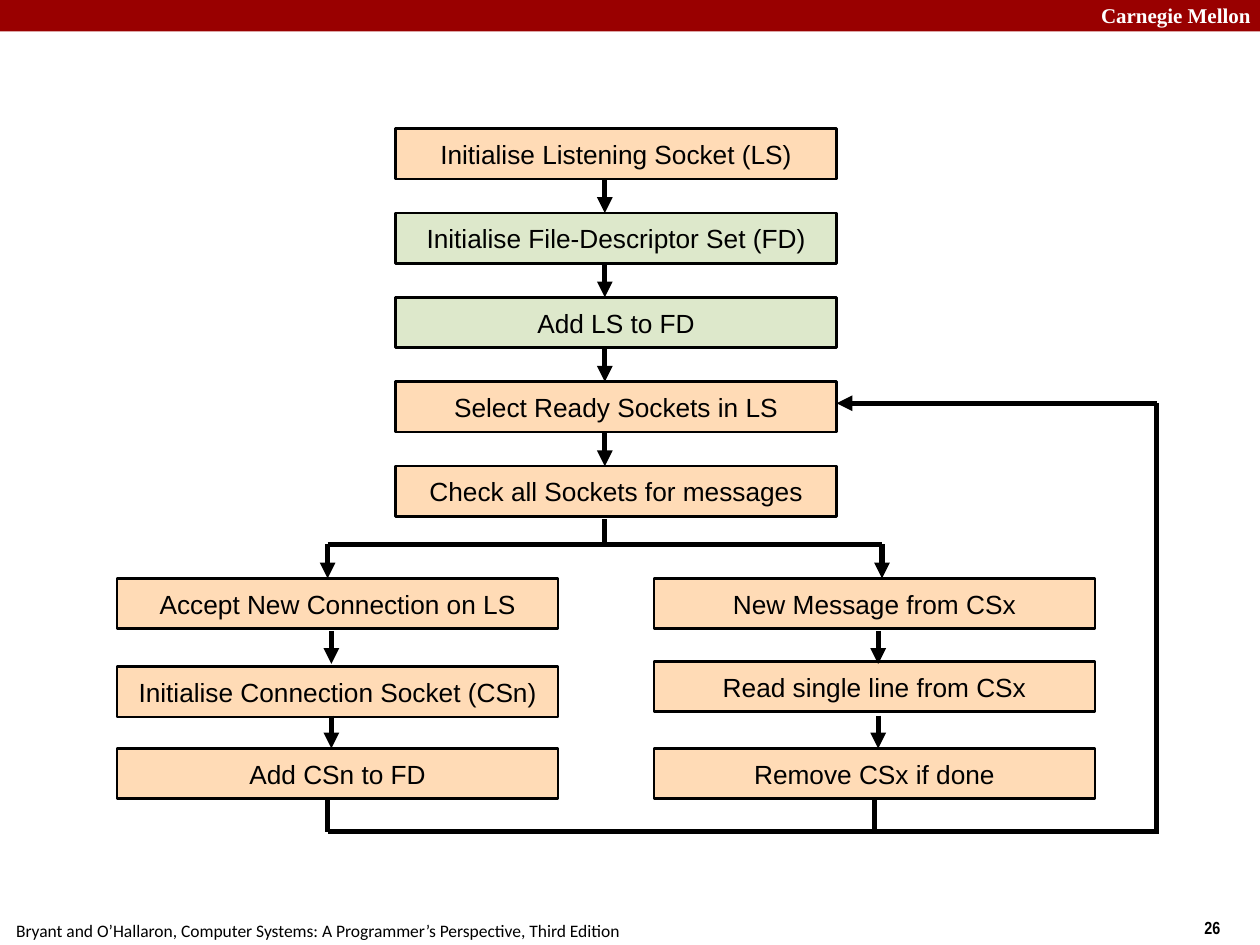
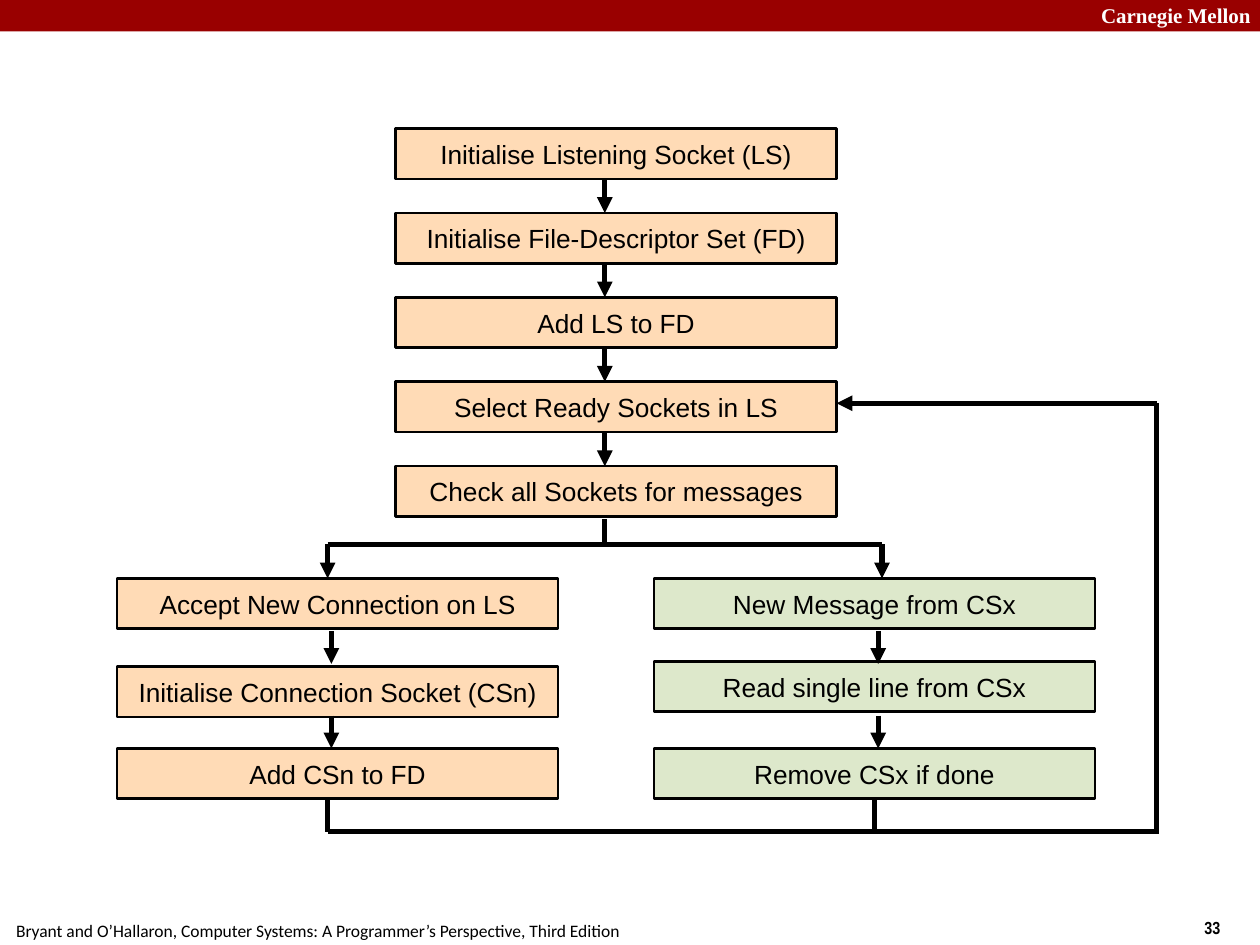
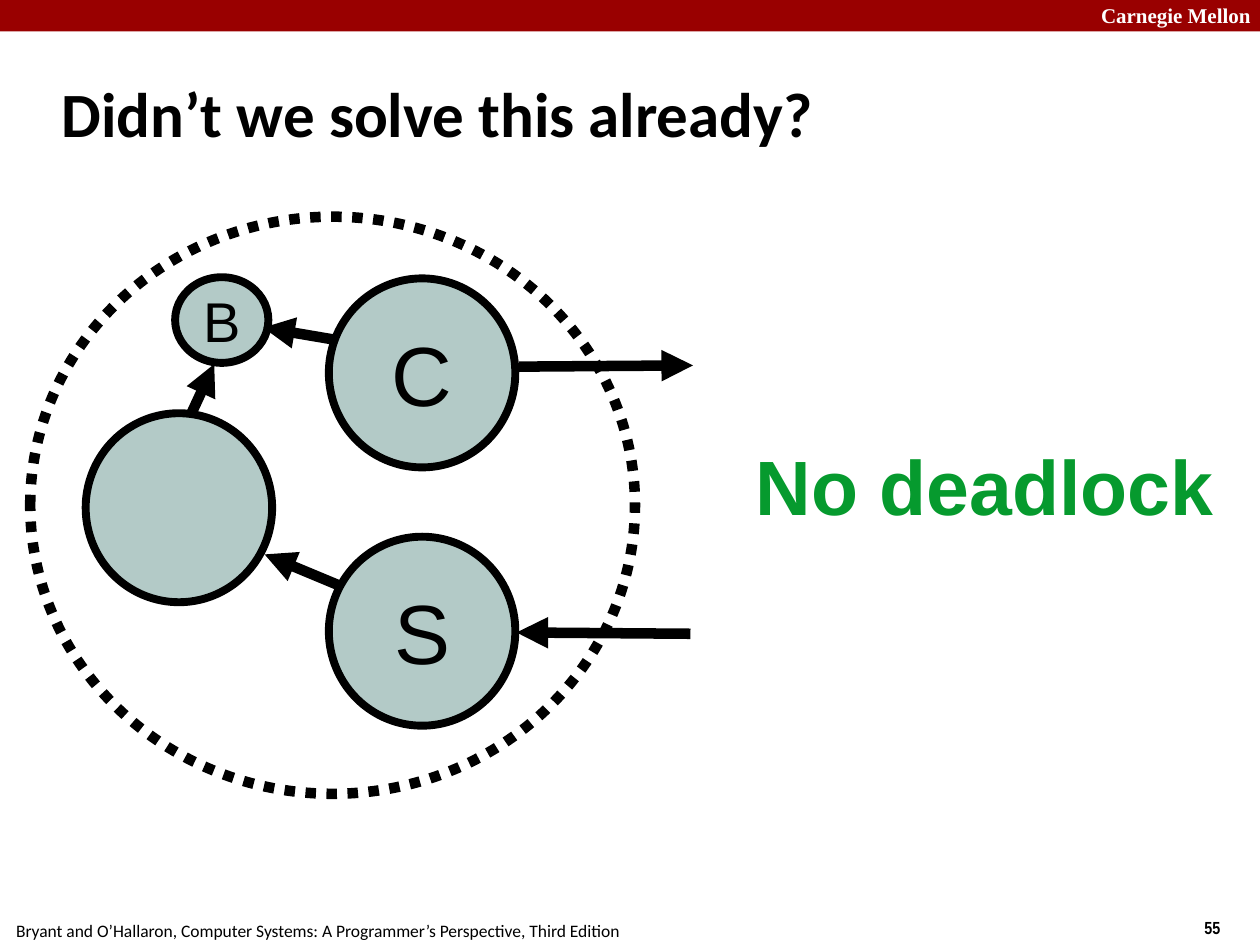
"""Build three lecture slides on a select-based server and on avoiding deadlock."""
from dataclasses import dataclass
from typing import NamedTuple

from lxml.etree import SubElement
from pptx import Presentation
from pptx.dml.color import RGBColor
from pptx.enum.dml import MSO_LINE
from pptx.enum.shapes import MSO_CONNECTOR, MSO_SHAPE
from pptx.enum.text import MSO_ANCHOR, MSO_AUTO_SIZE, PP_ALIGN
from pptx.oxml.ns import qn
from pptx.util import Inches, Pt


class TextStyle(NamedTuple):
    font: str
    size: int
    color: str = "000000"
    bold: bool = False
    wrap: bool = False


@dataclass(frozen=True)
class Theme:
    band: str = "990000"
    ink: str = "000000"
    step: str = "FFDBB6"
    highlight: str = "DDE8CB"
    node: str = "B3CAC7"
    title: TextStyle = TextStyle("Calibri", 36, bold=True)
    school: TextStyle = TextStyle("Times New Roman", 12, "FFFFFF", True, True)
    page: TextStyle = TextStyle("Arial Narrow", 10, bold=True)
    footer: TextStyle = TextStyle("Calibri", 10, wrap=True)
    step_text: TextStyle = TextStyle("Arial", 15)
    node_text: TextStyle = TextStyle("Arial", 48)
    small_node_text: TextStyle = TextStyle("Arial", 32)
    verdict: TextStyle = TextStyle("Arial", 44, "069A2E", True, True)


THEME = Theme()


def add_box(slide, position, text="", style=THEME.step_text, preset=None, fill=None, outline=0):
    """Add a text box, or a centred preset shape when a preset is given."""
    bounds = [Inches(length) for length in position]
    if preset is None:
        shape = slide.shapes.add_textbox(*bounds)
    else:
        shape = slide.shapes.add_shape(preset, *bounds)
        shape.shadow.inherit = False
        shape.fill.background()
        shape.line.fill.background()
    if fill:
        shape.fill.solid()
        shape.fill.fore_color.rgb = RGBColor.from_string(fill)
    if outline:
        shape.line.color.rgb = RGBColor.from_string(THEME.ink)
        shape.line.width = Pt(outline)
    if text:
        frame = shape.text_frame
        frame.text = text
        frame.word_wrap = style.wrap
        if preset is None:
            frame.auto_size = MSO_AUTO_SIZE.SHAPE_TO_FIT_TEXT
        else:
            frame.vertical_anchor = MSO_ANCHOR.MIDDLE
            frame.paragraphs[0].alignment = PP_ALIGN.CENTER
        font = frame.paragraphs[0].runs[0].font
        font.name, font.size, font.bold = style.font, Pt(style.size), style.bold
        font.color.rgb = RGBColor.from_string(style.color)
    return shape


def add_line(slide, start, end, width, arrow=True):
    """Add a straight line, with an arrowhead at its end unless told otherwise."""
    points = [Inches(length) for length in (*start, *end)]
    connector = slide.shapes.add_connector(MSO_CONNECTOR.STRAIGHT, *points)
    connector.line.color.rgb = RGBColor.from_string(THEME.ink)
    connector.line.width = Pt(width)
    properties = connector._element.spPr
    if arrow:
        SubElement(properties.find(qn("a:ln")), qn("a:tailEnd"), type="triangle")
    SubElement(properties, qn("a:effectLst"))


presentation = Presentation()
presentation.slide_width = Inches(10)
presentation.slide_height = Inches(7.5)
title_only, blank = presentation.slide_layouts[5], presentation.slide_layouts[6]

slides = []
for page, layout in (("26", blank), ("33", blank), ("55", title_only)):
    slide = presentation.slides.add_slide(layout)
    add_box(slide, (0, 0, 10, 0.25), preset=MSO_SHAPE.RECTANGLE, fill=THEME.band)
    add_box(slide, (8.64, -0.03, 1.43, 0.3), "Carnegie Mellon", THEME.school)
    add_box(slide, (9.46, 7.23, 0.75, 0.27), page, THEME.page)
    add_box(slide, (0.03, 7.25, 5.2, 0.27),
            "Bryant and O’Hallaron, Computer Systems: A Programmer’s Perspective, Third Edition",
            THEME.footer)
    slides.append(slide)

STEP_WIDTH, STEP_HEIGHT, STEP_PITCH = 3.5, 0.4, 0.67
SETUP_TOPS = [1.02 + STEP_PITCH * index for index in range(5)]
COLUMNS = (
    (3.14, SETUP_TOPS, ("Initialise Listening Socket (LS)", "Initialise File-Descriptor Set (FD)",
                        "Add LS to FD", "Select Ready Sockets in LS",
                        "Check all Sockets for messages")),
    (0.93, (4.59, 5.29, 5.94), ("Accept New Connection on LS",
                                "Initialise Connection Socket (CSn)", "Add CSn to FD")),
    (5.19, (4.59, 5.25, 5.94), ("New Message from CSx", "Read single line from CSx",
                                "Remove CSx if done")),
)
HIGHLIGHTS = (
    {"Initialise File-Descriptor Set (FD)", "Add LS to FD"},
    set(COLUMNS[2][2]),
)
FLOW_ARROWS = [((4.8, top + STEP_HEIGHT), (4.8, top + STEP_PITCH)) for top in SETUP_TOPS[:-1]]
FLOW_ARROWS += [((x, y), (x, y + 0.26)) for x in (2.63, 6.97) for y in (5.01, 5.68)]
FLOW_ARROWS += [((x, 4.32), (x, 4.59)) for x in (2.6, 7)]
FLOW_ARROWS.append(((9.18, 3.2), (6.64, 3.2)))
FLOW_LINES = (
    ((4.8, 4.12), (4.8, 4.32)),
    ((2.6, 4.32), (7, 4.32)),
    ((2.6, 6.34), (2.6, 6.6)),
    ((6.94, 6.34), (6.94, 6.6)),
    ((2.6, 6.6), (9.2, 6.6)),
    ((9.18, 3.2), (9.18, 6.6)),
)

for slide, highlighted in zip(slides, HIGHLIGHTS):
    for left, tops, steps in COLUMNS:
        for top, step in zip(tops, steps):
            add_box(slide, (left, top, STEP_WIDTH, STEP_HEIGHT), step,
                    preset=MSO_SHAPE.RECTANGLE, outline=1.5,
                    fill=THEME.highlight if step in highlighted else THEME.step)
    for start, end in FLOW_ARROWS:
        add_line(slide, start, end, 3)
    for start, end in FLOW_LINES:
        add_line(slide, start, end, 3, arrow=False)

deadlock_slide = slides[2]
title = deadlock_slide.shapes.title
title.left, title.top, title.width, title.height = (
    Inches(length) for length in (0.39, 0.48, 8.3, 0.83))
title.text_frame.text = "Didn’t we solve this already?"
title.text_frame.vertical_anchor = MSO_ANCHOR.MIDDLE
title.text_frame.auto_size = MSO_AUTO_SIZE.NONE
title_paragraph = title.text_frame.paragraphs[0]
title_paragraph.alignment = PP_ALIGN.LEFT
title_font = title_paragraph.runs[0].font
title_font.name, title_font.size = THEME.title.font, Pt(THEME.title.size)
title_font.bold = THEME.title.bold
title_font.color.rgb = RGBColor.from_string(THEME.title.color)

boundary = add_box(deadlock_slide, (0.24, 1.72, 4.8, 4.58), preset=MSO_SHAPE.OVAL, outline=6)
boundary.line.dash_style = MSO_LINE.ROUND_DOT

for position, name, style in (
    ((2.61, 2.21, 1.48, 1.5), "C", THEME.node_text),
    ((2.61, 4.26, 1.48, 1.5), "S", THEME.node_text),
    ((0.68, 3.28, 1.48, 1.5), "", THEME.node_text),
    ((1.39, 2.2, 0.74, 0.68), "B", THEME.small_node_text),
):
    add_box(deadlock_slide, position, name, style, MSO_SHAPE.OVAL, THEME.node, 4.5)

for start, end in (
    ((2.68, 2.7), (2.09, 2.6)),
    ((2.7, 4.65), (2.1, 4.4)),
    ((4.12, 2.91), (5.5, 2.9)),
    ((5.48, 5.03), (4.1, 5.02)),
    ((1.52, 3.28), (1.7, 2.89)),
):
    add_line(deadlock_slide, start, end, 6)

add_box(deadlock_slide, (5.9, 3.43, 4.3, 0.78), "No deadlock", THEME.verdict)

presentation.save("out.pptx")
